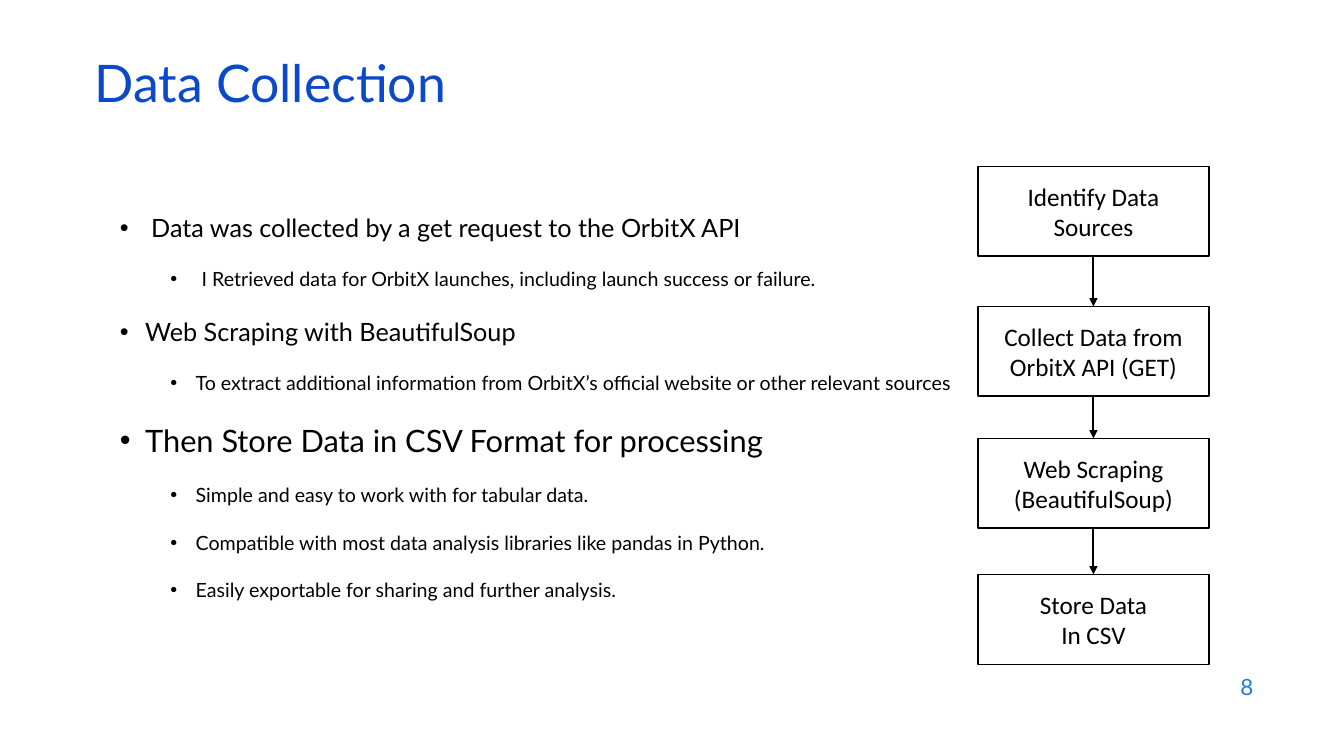
from dataclasses import dataclass
from itertools import pairwise

from lxml.etree import SubElement
from pptx import Presentation
from pptx.dml.color import RGBColor
from pptx.enum.shapes import MSO_CONNECTOR as Connector, MSO_SHAPE as Preset
from pptx.enum.text import MSO_ANCHOR as Anchor, MSO_AUTO_SIZE as AutoSize, PP_ALIGN as Align
from pptx.oxml.ns import qn
from pptx.shapes.autoshape import Shape
from pptx.slide import Slide
from pptx.util import Inches, Pt


@dataclass(frozen=True)
class Theme:
    heading_font: str = "Lato"
    step_font: str = "Calibri"
    title_color: RGBColor = RGBColor(0x0B, 0x49, 0xCB)
    number_color: RGBColor = RGBColor(0x1C, 0x7D, 0xDB)
    ink: RGBColor = RGBColor(0, 0, 0)
    paper: RGBColor = RGBColor(255, 255, 255)
    title_size: int = 37
    topic_size: int = 18
    closing_size: int = 22
    detail_size: int = 14
    step_size: int = 18
    number_size: int = 16


THEME = Theme()


@dataclass(frozen=True)
class Point:
    text: str
    size: int = THEME.detail_size
    level: int = 1
    hanging: float = 0.25


@dataclass(frozen=True)
class Step:
    top: float
    lines: tuple[str, ...]


POINTS = [
    Point("Data was collected by a get request to the OrbitX API", THEME.topic_size, 0, 0.31),
    Point("I Retrieved data for OrbitX launches, including launch success or failure.", hanging=0.31),
    Point("Web Scraping with BeautifulSoup", THEME.topic_size, 0),
    Point("To extract additional information from OrbitX’s official website or other relevant sources"),
    Point("Then Store Data in CSV Format for processing", THEME.closing_size, 0),
    Point("Simple and easy to work with for tabular data."),
    Point("Compatible with most data analysis libraries like pandas in Python."),
    Point("Easily exportable for sharing and further analysis."),
]
STEPS = [
    Step(1.65, ("Identify Data Sources",)),
    Step(3.04, ("Collect Data from OrbitX API (GET)",)),
    Step(4.35, ("Web Scraping", "(BeautifulSoup)")),
    Step(5.7, ("Store Data", "In CSV")),
]


def style(paragraph, font: str, size: int, color: RGBColor) -> None:
    paragraph.font.name = font
    paragraph.font.size = Pt(size)
    paragraph.font.color.rgb = color


def place(shape: Shape, left: float, top: float, width: float, height: float) -> None:
    shape.left, shape.top = Inches(left), Inches(top)
    shape.width, shape.height = Inches(width), Inches(height)


def add_title(slide: Slide, text: str) -> None:
    title = slide.shapes.title
    place(title, 0.84, 0.59, 11.5, 0.6)
    frame = title.text_frame
    frame.text = text
    frame.auto_size = AutoSize.NONE
    frame.vertical_anchor = Anchor.MIDDLE
    heading = frame.paragraphs[0]
    heading.alignment = Align.LEFT
    heading.line_spacing = 0.7
    style(heading, THEME.heading_font, THEME.title_size, THEME.title_color)


def add_points(slide: Slide, points: list[Point]) -> None:
    body = slide.placeholders[1]
    place(body, 0.84, 2, 11.5, 4.76)
    frame = body.text_frame
    frame.text = "\n".join(point.text for point in points)
    frame.auto_size = AutoSize.NONE
    frame.vertical_anchor = Anchor.TOP
    for index, (paragraph, point) in enumerate(zip(frame.paragraphs, points)):
        paragraph.level = point.level
        paragraph.line_spacing = 1.2
        paragraph.space_before = Pt(14 if index else 0)
        # Hanging bullet, half an inch deeper per level
        properties = paragraph._p.get_or_add_pPr()
        properties.set("marL", str(Inches(0.25 + point.hanging + 0.5 * point.level)))
        properties.set("indent", str(-Inches(point.hanging)))
        SubElement(properties, qn("a:buFont"), typeface="Arial")
        SubElement(properties, qn("a:buChar"), char="•")
        style(paragraph, THEME.heading_font, point.size, THEME.ink)


def add_step(slide: Slide, step: Step) -> Shape:
    box = slide.shapes.add_shape(
        Preset.RECTANGLE, Inches(9.7), Inches(step.top), Inches(2.29), Inches(0.89))
    box.shadow.inherit = False
    box.fill.solid()
    box.fill.fore_color.rgb = THEME.paper
    box.line.color.rgb = THEME.ink
    box.line.width = Pt(1)
    frame = box.text_frame
    frame.text = "\n".join(step.lines)
    frame.word_wrap = True
    frame.vertical_anchor = Anchor.MIDDLE
    for paragraph in frame.paragraphs:
        paragraph.alignment = Align.CENTER
        style(paragraph, THEME.step_font, THEME.step_size, THEME.ink)
    return box


def add_arrow(slide: Slide, upper: Shape, lower: Shape) -> None:
    arrow = slide.shapes.add_connector(Connector.STRAIGHT, 0, 0, 0, 0)
    arrow.begin_connect(upper, 2)
    arrow.end_connect(lower, 0)
    arrow.line.color.rgb = THEME.ink
    arrow.line.width = Pt(1.5)
    SubElement(arrow.line._get_or_add_ln(), qn("a:tailEnd"), type="triangle")
    SubElement(arrow._element.spPr, qn("a:effectLst"))


def add_page_number(slide: Slide, number: str) -> None:
    corner = slide.shapes.add_textbox(Inches(9.53), Inches(6.59), Inches(3), Inches(0.44))
    frame = corner.text_frame
    frame.text = number
    frame.word_wrap = True
    frame.vertical_anchor = Anchor.MIDDLE
    frame.paragraphs[0].alignment = Align.RIGHT
    style(frame.paragraphs[0], THEME.heading_font, THEME.number_size, THEME.number_color)


def main() -> None:
    deck = Presentation()
    deck.slide_width, deck.slide_height = Inches(13.33), Inches(7.5)
    slide = deck.slides.add_slide(deck.slide_layouts[1])

    # Text
    add_page_number(slide, "8")
    add_points(slide, POINTS)
    add_title(slide, "Data Collection")

    # Collection flow
    boxes = [add_step(slide, step) for step in STEPS]
    for upper, lower in pairwise(boxes):
        add_arrow(slide, upper, lower)

    deck.save("out.pptx")


if __name__ == "__main__":
    main()
